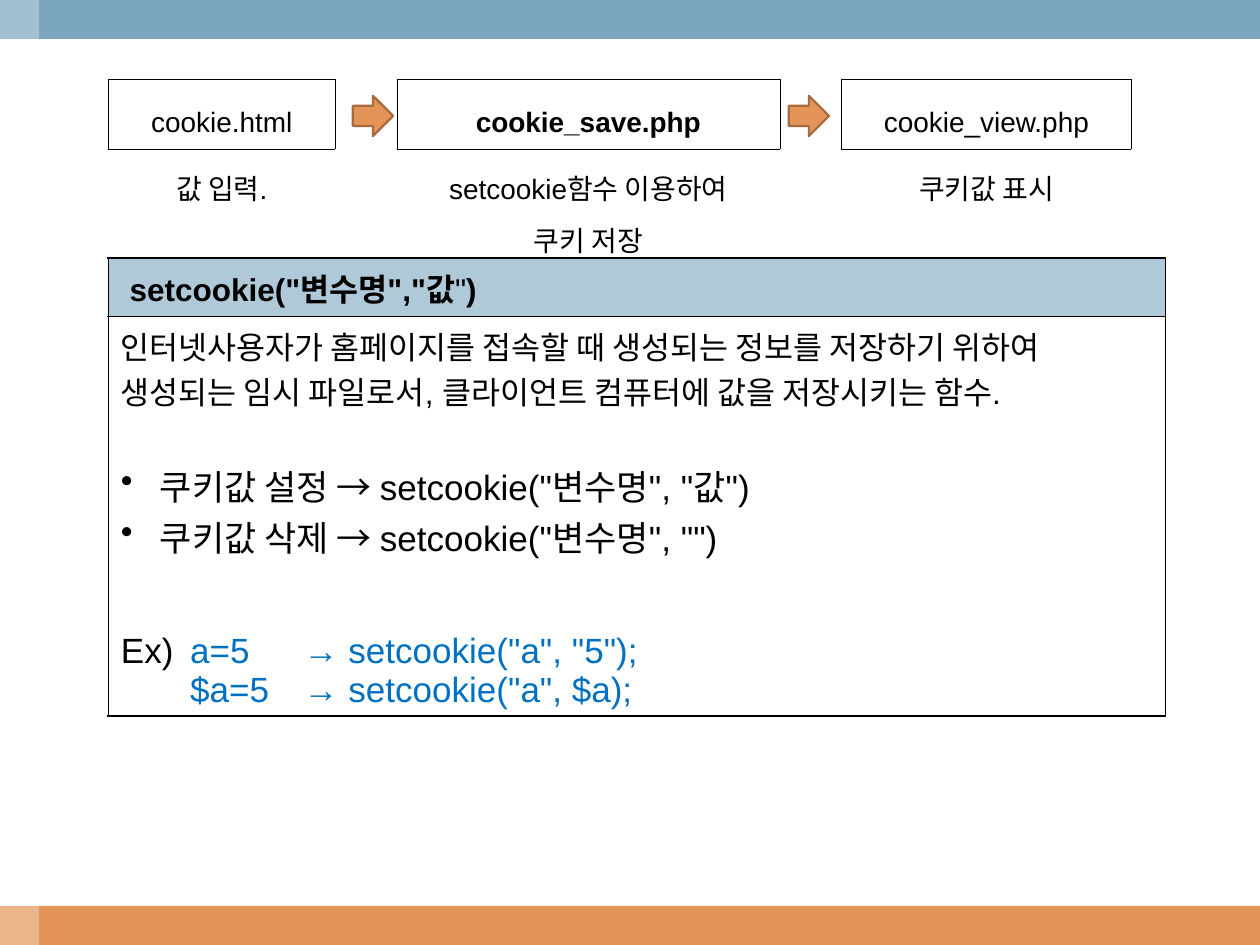
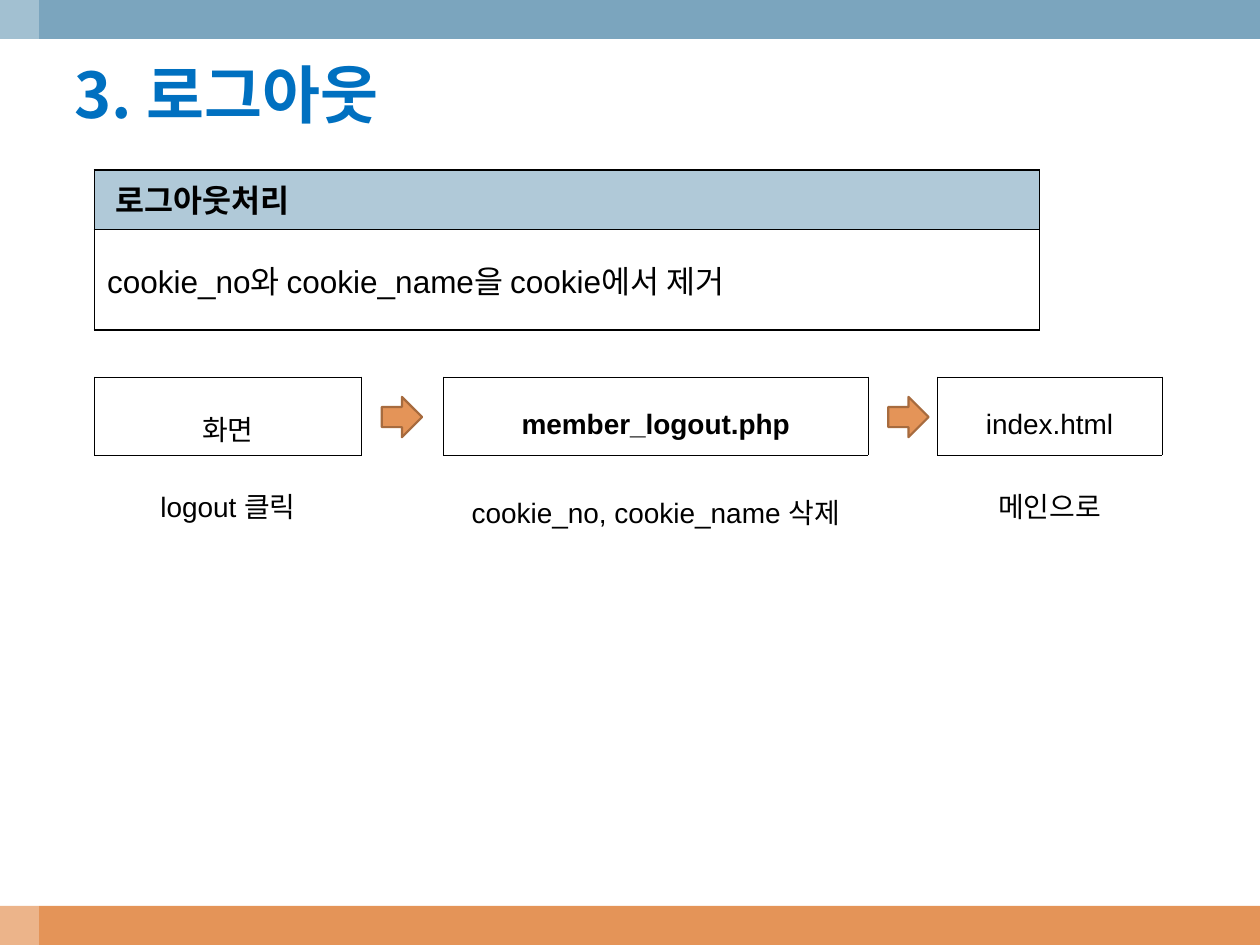
from lxml import etree
from pptx import Presentation
from pptx.dml.color import RGBColor
from pptx.enum.shapes import MSO_SHAPE
from pptx.enum.text import MSO_ANCHOR, PP_ALIGN
from pptx.oxml.ns import qn
from pptx.util import Emu, Inches, Pt

BLACK, WHITE, BLUE = "000000", "FFFFFF", "0070C0"
SKY, ORANGE, ARROW_LINE, HEADER_FILL = "7BA5BE", "E49458", "A76B3E", "B0C9D8"
LATIN_FONT, KOREAN_FONT = "Arial", "Noto Sans CJK KR"
THICK, THIN, HAIR = 1.08, 0.45, 0.11
SLIDE_WIDTH, SLIDE_HEIGHT, BAND = 10, 7.5, 0.31

BULLET = {"bullet": "•", "indent": 0.31, "size": 20}
EXAMPLE = {"size": 20, "tabs": [0.55, 1.45]}

# A paragraph is a dict: runs of (text, font changes), then its format.
SLIDES = [
    {
        "panel": {
            "at": (0.86, 2.05), "width": 8.39, "heights": (0.44, 2.99),
            "anchor": MSO_ANCHOR.TOP,
            "header": [('setcookie("변수명","값', {}), ('"', {"bold": False}), (")", {})],
            "body": [
                {"runs": [("인터넷사용자가 홈페이지를 접속할 때 생성되는 정보를 저장하기 위하여 "
                           "생성되는 임시 파일로서, 클라이언트 컴퓨터에 값을 저장시키는 함수.", {})]},
                {"runs": [('쿠키값 설정 → setcookie("변수명", "값")', {})], "before": 26, **BULLET},
                {"runs": [('쿠키값 삭제 → setcookie("변수명", "")', {})], **BULLET},
                {"runs": [("Ex)\t", {}), ('a=5\t→ setcookie("a", "5");', {"color": BLUE})],
                 "before": 29, "spacing": 1.5, **EXAMPLE},
                {"runs": [('\t$a=5\t→ setcookie("a", $a);', {"color": BLUE})], **EXAMPLE},
            ],
        },
        "flow": {
            "at": (0.86, 0.63), "widths": (1.8, 0.49, 3.04, 0.49, 2.3), "heights": (0.55, 0.88),
            "anchor": MSO_ANCHOR.TOP, "arrows": (2.8, 6.26), "arrow_top": 0.76,
            "steps": [
                ("cookie.html", ["값 입력."], 1.3),
                ("cookie_save.php", ["setcookie함수 이용하여", "쿠키 저장"], 1.3),
                ("cookie_view.php", ["쿠키값 표시"], 1.3),
            ],
        },
    },
    {
        "title": "3. 로그아웃",
        "panel": {
            "at": (0.75, 1.35), "width": 7.5, "heights": (0.47, 0.8),
            "anchor": MSO_ANCHOR.MIDDLE,
            "header": [("로그아웃처리", {})],
            "body": [{"runs": [("cookie_no와 cookie_name을 cookie에서 제거", {})]}],
        },
        "flow": {
            "at": (0.75, 2.99), "widths": (2.12, 0.65, 3.37, 0.55, 1.78), "heights": (0.62, 0.7),
            "anchor": MSO_ANCHOR.MIDDLE, "arrows": (3.03, 7.05), "arrow_top": 3.15,
            "steps": [
                ("화면", ["logout 클릭"], 1.3),
                ("member_logout.php", ["cookie_no, cookie_name 삭제"], 1.6),
                ("index.html", ["메인으로"], 1.3),
            ],
        },
    },
]


def color(value):
    return RGBColor.from_string(value)


def add_child(parent, tag, **attributes):
    return etree.SubElement(parent, qn(tag), attributes)


def paint(target, value):
    target.solid()
    target.fore_color.rgb = color(value)


def add_run(paragraph, text, size, bold=False, color_value=BLACK, font_name=LATIN_FONT):
    run = paragraph.add_run()
    run.text = text
    for name, value in {"size": Pt(size), "bold": bold, "name": font_name}.items():
        setattr(run.font, name, value)
    run.font.color.rgb = color(color_value)
    add_child(run.font._element, "a:ea", typeface=KOREAN_FONT)


def write(frame, paragraphs):
    for number, content in enumerate(paragraphs):
        paragraph = frame.add_paragraph() if number else frame.paragraphs[0]
        formats = {
            "alignment": content.get("align", PP_ALIGN.LEFT),
            "line_spacing": content.get("spacing", 1.0),
            "space_before": Pt(content.get("before", 0)),
        }
        for name, value in formats.items():
            setattr(paragraph, name, value)
        properties = paragraph._p.get_or_add_pPr()
        if "bullet" in content:
            indent = Inches(content["indent"])
            properties.set("marL", str(indent))
            properties.set("indent", str(-indent))
            add_child(properties, "a:buChar", char=content["bullet"])
        if "tabs" in content:
            stops = add_child(properties, "a:tabLst")
            for position in content["tabs"]:
                add_child(stops, "a:tab", pos=str(Inches(position)), algn="l")
        for text, changes in content["runs"]:
            add_run(paragraph, text, content.get("size", 18),
                    changes.get("bold", content.get("bold", False)),
                    changes.get("color", BLACK), content.get("font", LATIN_FONT))


def set_cell(cell, fill=None, borders=None, anchor=MSO_ANCHOR.TOP, paragraphs=()):
    """Fill, anchor and write a cell; borders maps the sides L, R, T, B to points."""
    cell.vertical_anchor = anchor
    properties = cell._tc.get_or_add_tcPr()
    for side in "LRTB":
        width = (borders or {}).get(side)
        line = add_child(properties, f"a:ln{side}", w=str(Pt(width or 0)))
        if width:
            add_child(add_child(line, "a:solidFill"), "a:srgbClr", val=BLACK)
        else:
            add_child(line, "a:noFill")
    if fill:
        paint(cell.fill, fill)
    else:
        cell.fill.background()
    write(cell.text_frame, paragraphs)


def add_plain_table(slide, at, widths, heights):
    frame = slide.shapes.add_table(len(heights), len(widths), *map(Inches, at),
                                   Inches(sum(widths)), Inches(sum(heights)))
    table = frame.table
    table.first_row = table.horz_banding = False
    for column, width in zip(table.columns, widths):
        column.width = Inches(width)
    for row, height in zip(table.rows, heights):
        row.height = Inches(height)
    return table


def add_panel(slide, panel):
    table = add_plain_table(slide, panel["at"], [panel["width"]], panel["heights"])
    sides = {"L": THICK, "R": THICK}
    header, body = table.cell(0, 0), table.cell(1, 0)
    set_cell(header, HEADER_FILL, {**sides, "T": THICK, "B": THIN},
             paragraphs=[{"runs": panel["header"], "bold": True}])
    header.margin_left = Inches(0.17)
    set_cell(body, WHITE, {**sides, "T": THIN, "B": THICK}, panel["anchor"], panel["body"])


def add_flow(slide, flow):
    table = add_plain_table(slide, flow["at"], flow["widths"], flow["heights"])
    centred = {"align": PP_ALIGN.CENTER, "size": 16}
    for number, (file_name, notes, spacing) in enumerate(flow["steps"]):
        column = 2 * number
        heading = {"runs": [(file_name, {})], "spacing": 1.6, "bold": number == 1, **centred}
        set_cell(table.cell(0, column), WHITE, dict.fromkeys("LRTB", HAIR),
                 MSO_ANCHOR.MIDDLE, [heading])
        set_cell(table.cell(1, column), None, {"T": HAIR}, flow["anchor"],
                 [{"runs": [(note, {})], "spacing": spacing, **centred} for note in notes])
    for gap in (1, 3):
        set_cell(table.cell(0, gap), borders={"L": HAIR, "R": HAIR})
        set_cell(table.cell(1, gap))
    for left in flow["arrows"]:
        arrow = add_block(slide, MSO_SHAPE.RIGHT_ARROW,
                          (left, flow["arrow_top"], 0.32, 0.32), ORANGE)
        arrow.line.color.rgb = color(ARROW_LINE)
        arrow.line.width = Pt(1.25)


def add_block(slide, kind, box, fill):
    shape = slide.shapes.add_shape(kind, *map(Inches, box))
    shape.shadow.inherit = False
    paint(shape.fill, fill)
    shape.line.fill.background()
    return shape


def add_bands(slide):
    bands = [
        ((0, SLIDE_HEIGHT - BAND, SLIDE_WIDTH, BAND), ORANGE),
        ((0, 0, SLIDE_WIDTH, BAND), SKY),
        ((0, 0, BAND, SLIDE_HEIGHT), WHITE),
    ]
    for box, fill in bands:
        strip = add_block(slide, MSO_SHAPE.RECTANGLE, box, fill)
    tint = strip.fill._xPr.find(qn("a:solidFill")).find(qn("a:srgbClr"))
    add_child(tint, "a:alpha", val="30000")


def add_title(slide, text):
    frame = slide.shapes.add_textbox(*map(Inches, (0.59, 0.49, 8.2, 0.55))).text_frame
    formats = {
        "word_wrap": True, "vertical_anchor": MSO_ANCHOR.BOTTOM, "margin_left": Emu(0),
        "margin_top": Inches(0.05), "margin_right": Emu(0), "margin_bottom": Emu(0),
    }
    for name, value in formats.items():
        setattr(frame, name, value)
    write(frame, [{"runs": [(text, {"color": BLUE})], "size": 36, "bold": True,
                   "font": KOREAN_FONT}])


def main():
    presentation = Presentation()
    presentation.slide_width = Inches(SLIDE_WIDTH)
    presentation.slide_height = Inches(SLIDE_HEIGHT)
    for content in SLIDES:
        slide = presentation.slides.add_slide(presentation.slide_layouts[6])
        add_bands(slide)
        add_panel(slide, content["panel"])
        add_flow(slide, content["flow"])
        if "title" in content:
            add_title(slide, content["title"])
    presentation.save("out.pptx")


if __name__ == "__main__":
    main()
